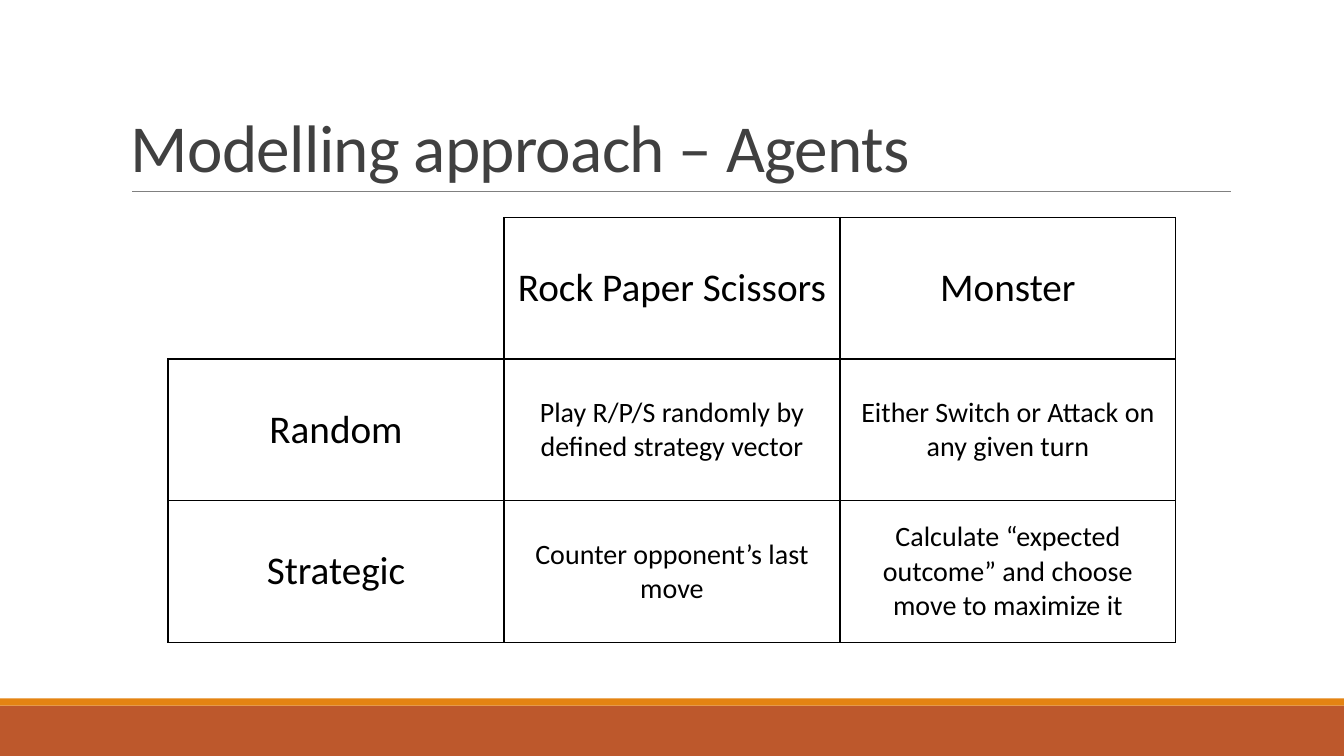
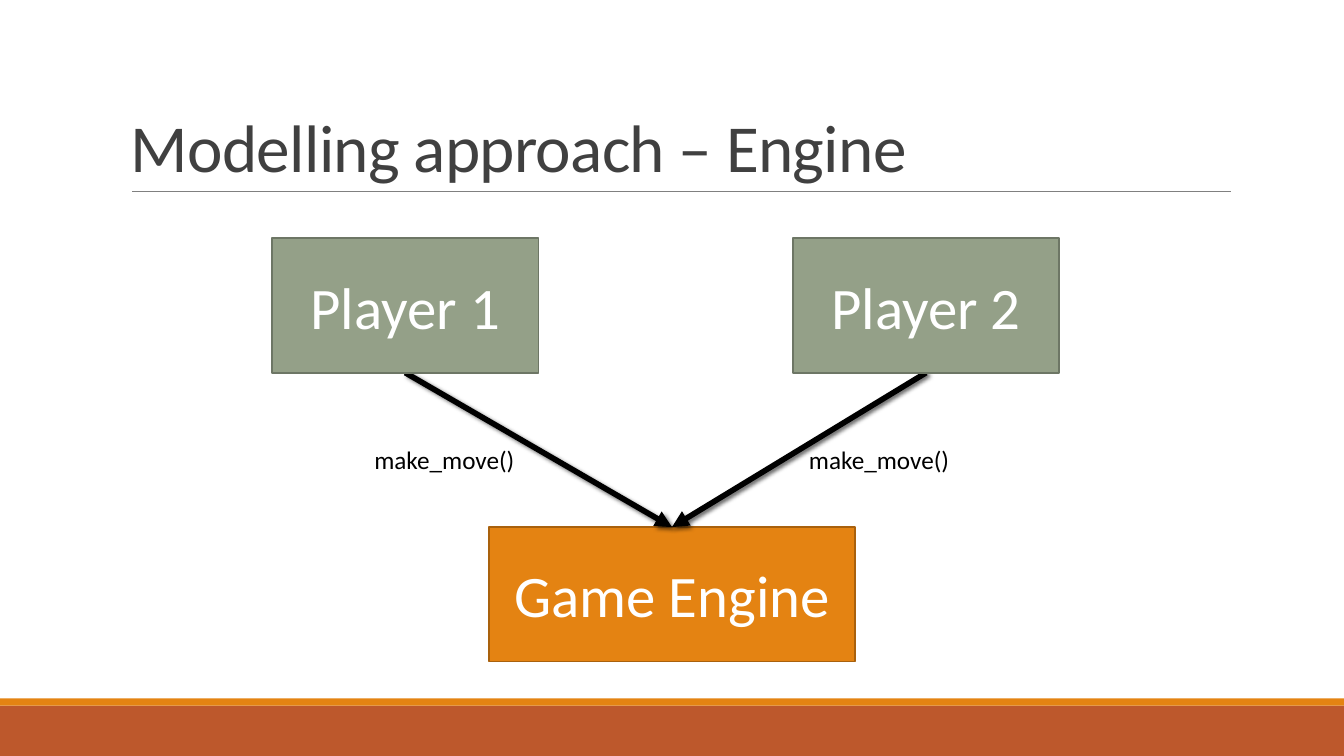
from lxml.etree import SubElement
from pptx import Presentation
from pptx.dml.color import RGBColor
from pptx.enum.shapes import MSO_CONNECTOR, MSO_SHAPE
from pptx.enum.text import MSO_ANCHOR, MSO_AUTO_SIZE, PP_ALIGN
from pptx.oxml.ns import qn
from pptx.util import Pt

PX = 9525
WIDTH, HEIGHT = 1280, 720
FONT = "Calibri"
BLACK, WHITE, GREY, TITLE = "000000", "FFFFFF", "808080", "404040"
ORANGE, ORANGE_EDGE, RUST = "E48312", "A9610D", "BD582C"
SAGE, SAGE_EDGE = "94A088", "6D7665"
BOTTOM, TOP = 2, 0


def px(*lengths):
    return [round(length * PX) for length in lengths]


def color(hex_text):
    return RGBColor.from_string(hex_text)


def add_text(frame, text, size, ink, align=PP_ALIGN.LEFT):
    para = frame.paragraphs[0]
    para.alignment = align
    span = para.add_run()
    span.text = text
    span.font.name = FONT
    span.font.size = Pt(size)
    span.font.color.rgb = color(ink)
    return para, span


def add_rectangle(page, place, fill, edge=None):
    box = page.shapes.add_shape(MSO_SHAPE.RECTANGLE, *px(*place))
    box.shadow.inherit = False
    box.fill.solid()
    box.fill.fore_color.rgb = color(fill)
    if edge:
        box.line.color.rgb = color(edge)
        box.line.width = Pt(1.25)
    else:
        box.line.fill.background()
    return box


def add_node(page, text, place, fill, edge):
    box = add_rectangle(page, place, fill, edge)
    box.text_frame.word_wrap = True
    box.text_frame.vertical_anchor = MSO_ANCHOR.MIDDLE
    add_text(box.text_frame, text, 42, WHITE, PP_ALIGN.CENTER)
    return box


def add_line(page, ends, ink, width):
    """Return the line and its effect list, which is empty."""
    line = page.shapes.add_connector(MSO_CONNECTOR.STRAIGHT, *px(*ends))
    line.line.color.rgb = color(ink)
    line.line.width = Pt(width)
    effects = SubElement(line._element.spPr, qn("a:effectLst"))
    return line, effects


def add_arrow(page):
    """Add a shadowed arrow, to be joined to its shapes afterwards."""
    arrow, effects = add_line(page, (0, 0, 0, 0), BLACK, 4)
    SubElement(arrow.line._get_or_add_ln(), qn("a:tailEnd"), type="triangle")
    shadow = SubElement(effects, qn("a:outerShdw"), blurRad=str(Pt(3)),
                        dist=str(Pt(2)), dir=str(45 * 60000))
    ink = SubElement(shadow, qn("a:srgbClr"), val=BLACK)
    SubElement(ink, qn("a:alpha"), val="60000")
    return arrow


def add_label(page, text, place):
    box = page.shapes.add_textbox(*px(*place))
    box.text_frame.word_wrap = True
    box.text_frame.auto_size = MSO_AUTO_SIZE.SHAPE_TO_FIT_TEXT
    add_text(box.text_frame, text, 18, BLACK)


def add_page(deck, heading):
    page = deck.slides.add_slide(deck.slide_layouts[5])
    # Footer bands and title rule
    add_rectangle(page, (0, 672, WIDTH, 48), RUST)
    add_rectangle(page, (0, 665, WIDTH, 7), ORANGE)
    add_line(page, (126, 182, 1172, 182), GREY, 0.5)
    # Title
    title = page.shapes.title
    title.left, title.top, title.width, title.height = px(115, 30, 1056, 152)
    frame = title.text_frame
    frame.auto_size = MSO_AUTO_SIZE.NONE
    frame.vertical_anchor = MSO_ANCHOR.BOTTOM
    para, span = add_text(frame, heading, 48, TITLE)
    para.line_spacing = 0.85
    span.font._element.set("spc", "-50")
    return page


def set_borders(cell, hidden=()):
    properties = cell._tc.get_or_add_tcPr()
    for side in ("lnL", "lnR", "lnT", "lnB"):
        border = SubElement(properties, qn("a:" + side), w=str(Pt(1)))
        if side in hidden:
            SubElement(border, qn("a:noFill"))
        else:
            fill = SubElement(border, qn("a:solidFill"))
            SubElement(fill, qn("a:srgbClr"), val=BLACK)


def add_grid(page, rows, left, top, column_width, row_height):
    count = len(rows[0])
    table = page.shapes.add_table(
        len(rows), count,
        *px(left, top, column_width * count, row_height * len(rows))).table
    table.first_row = table.horz_banding = False
    for row, texts in enumerate(rows):
        for column, text in enumerate(texts):
            cell = table.cell(row, column)
            is_corner = row == column == 0
            set_borders(cell, ("lnL", "lnT") if is_corner else ())
            cell.fill.background()
            cell.vertical_anchor = MSO_ANCHOR.MIDDLE
            if text:
                size = 20 if row and column else 28
                add_text(cell.text_frame, text, size, BLACK, PP_ALIGN.CENTER)


def build_agents(deck):
    page = add_page(deck, "Modelling approach – Agents")
    rows = [
        ("", "Rock Paper Scissors", "Monster"),
        ("Random", "Play R/P/S randomly by defined strategy vector",
         "Either Switch or Attack on any given turn"),
        ("Strategic", "Counter opponent’s last move",
         "Calculate “expected outcome” and choose move to maximize it"),
    ]
    add_grid(page, rows, 160, 207, 320, 135)


def build_engine(deck):
    page = add_page(deck, "Modelling approach – Engine")
    engine = add_node(page, "Game Engine", (466, 502, 348, 128),
                      ORANGE, ORANGE_EDGE)
    # Players, each with an arrow to the engine
    for name, left, label_left in (("Player 1", 259, 347),
                                   ("Player 2", 755, 761)):
        arrow = add_arrow(page)
        add_label(page, "make_move()", (label_left, 418, 160, 38))
        player = add_node(page, name, (left, 227, 254, 128), SAGE, SAGE_EDGE)
        arrow.begin_connect(player, BOTTOM)
        arrow.end_connect(engine, TOP)


def main():
    deck = Presentation()
    deck.slide_width, deck.slide_height = px(WIDTH, HEIGHT)
    build_agents(deck)
    build_engine(deck)
    deck.save("out.pptx")


if __name__ == "__main__":
    main()
